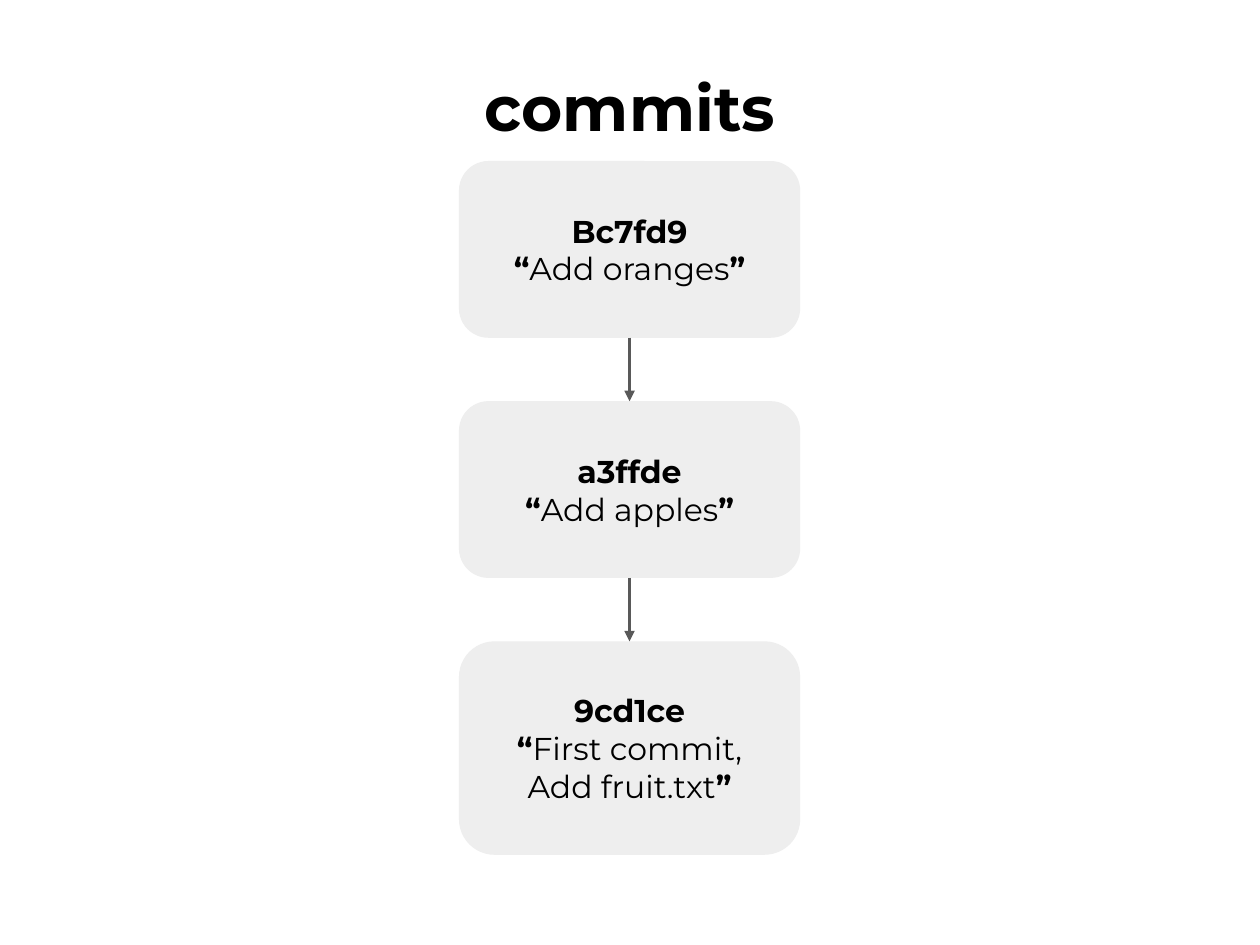
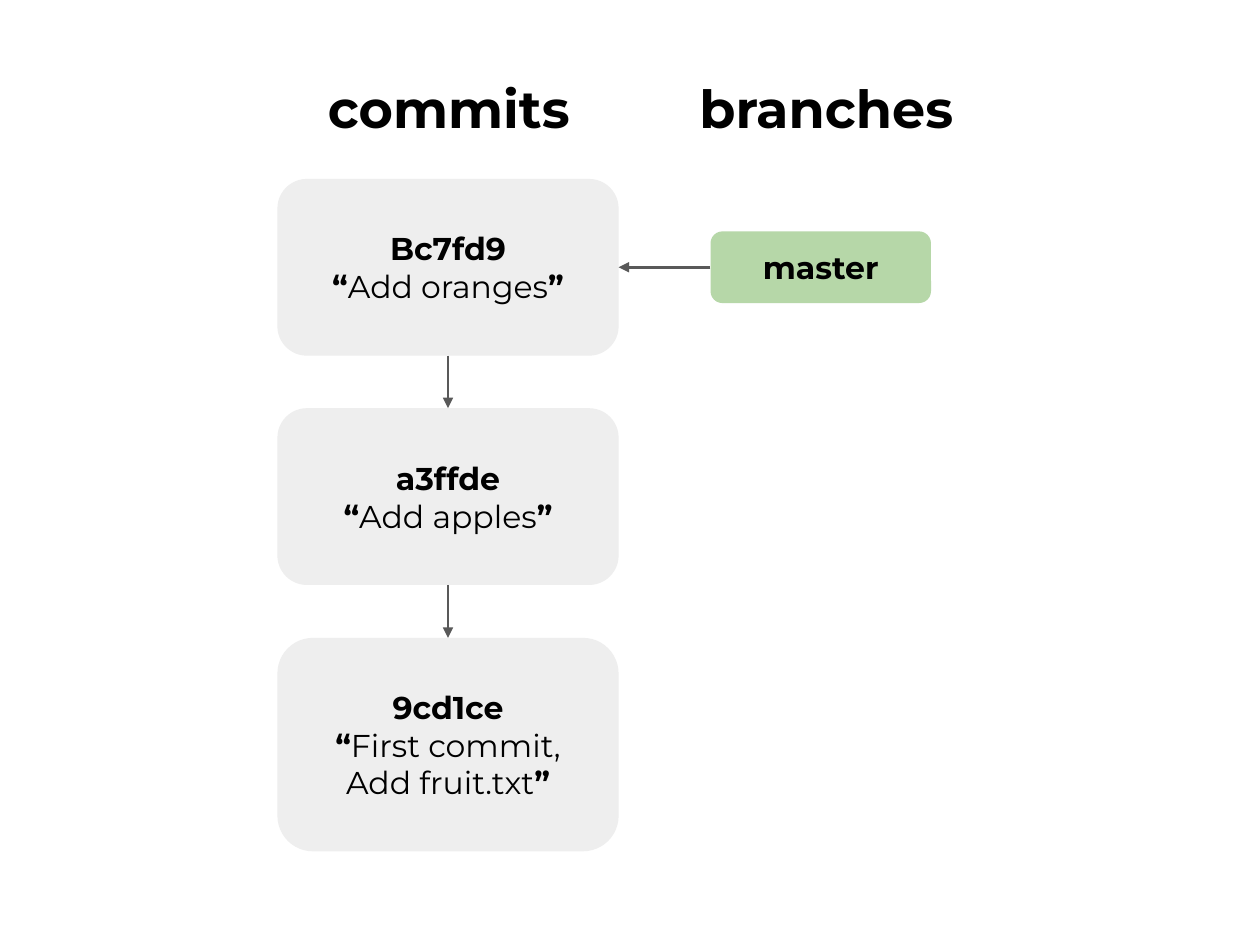
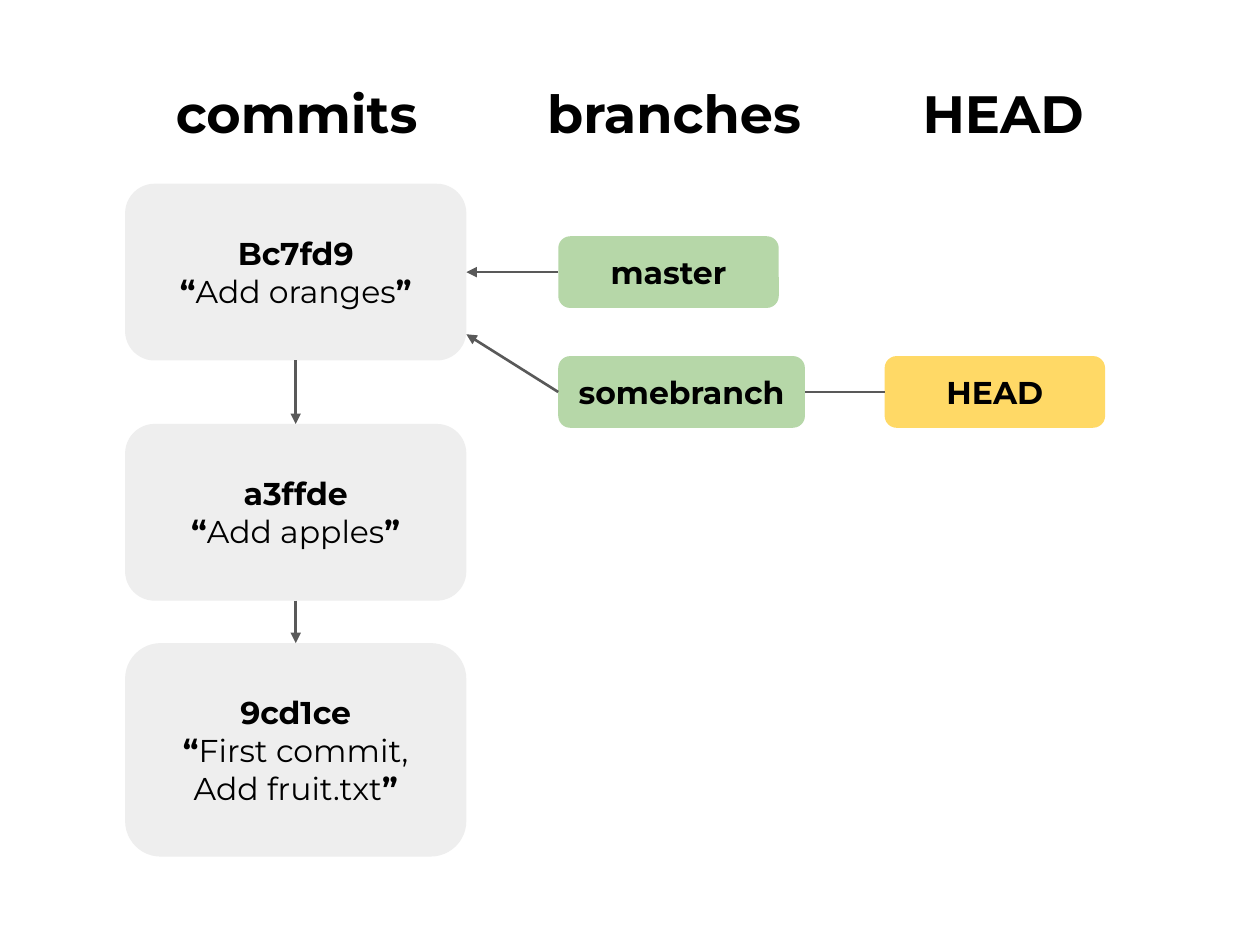
from lxml import etree
from pptx import Presentation
from pptx.dml.color import RGBColor
from pptx.enum.shapes import MSO_CONNECTOR, MSO_SHAPE
from pptx.enum.text import MSO_ANCHOR, PP_ALIGN
from pptx.oxml.ns import qn
from pptx.util import Pt

STRAIGHT, ROUNDED = MSO_CONNECTOR.STRAIGHT, MSO_SHAPE.ROUNDED_RECTANGLE
TOP, MIDDLE, CENTER = MSO_ANCHOR.TOP, MSO_ANCHOR.MIDDLE, PP_ALIGN.CENTER

BLACK = RGBColor(0x00, 0x00, 0x00)
GRAY = RGBColor(0xEE, 0xEE, 0xEE)
DARK_GRAY = RGBColor(0x59, 0x59, 0x59)
GREEN = RGBColor(0xB6, 0xD7, 0xA8)
YELLOW = RGBColor(0xFF, 0xD9, 0x66)
FONT = "Montserrat"
BODY_SIZE = 18

# Connection sites of a rounded rectangle
SITE_TOP, SITE_LEFT, SITE_BOTTOM, SITE_RIGHT = range(4)

# Commit id, message lines, box height
COMMITS = [
    ("Bc7fd9", ["Add oranges"], 101),
    ("a3ffde", ["Add apples"], 101),
    ("9cd1ce", ["First commit,", "Add fruit.txt"], 122),
]
COMMIT_WIDTH = 195
LABEL_WIDTH, LABEL_HEIGHT = 126, 41
BRANCH_GAP = 52.5   # from commits to branches
BRANCH_STEP = 68.5  # from one branch to the next
HEAD_LEFT = 505.5
BRANCH_TARGET_RISE = 15  # second arrow ends this far above the commit's bottom

# Headings: text, left, width. Branches: name, width.
SLIDES = [
    {"headings": [("commits", 24.5, 671)], "heading_top": 31.75, "heading_size": 36,
     "left": 262.25, "tops": [92, 229.25, 366.5], "branches": [], "head": None},
    {"headings": [("commits", 165, 183), ("branches", 358.5, 227.5)],
     "heading_top": 36, "heading_size": 30,
     "left": 158.5, "tops": [102.25, 233.25, 364.5],
     "branches": [("master", LABEL_WIDTH)], "head": None},
    {"headings": [("commits", 78, 183), ("branches", 271.5, 227.5), ("HEAD", 459.5, 227.5)],
     "heading_top": 39, "heading_size": 30,
     "left": 71.5, "tops": [105, 242.25, 367.5],
     "branches": [("master", LABEL_WIDTH), ("somebranch", 141)], "head": "HEAD"},
]


def prepare_text(shape, anchor):
    """Set frame margins and return the centred first paragraph."""
    frame = shape.text_frame
    frame.word_wrap = True
    frame.vertical_anchor = anchor
    frame.margin_left = frame.margin_right = Pt(7.2)
    frame.margin_top = frame.margin_bottom = Pt(7.2)
    paragraph = frame.paragraphs[0]
    paragraph.alignment = CENTER
    return paragraph


def add_run(paragraph, text, size=BODY_SIZE, bold=True):
    run = paragraph.add_run()
    run.text = text
    run.font.name = FONT
    run.font.size = Pt(size)
    run.font.bold = bold
    run.font.color.rgb = BLACK


def add_heading(slide, text, left, top, width, size):
    box = slide.shapes.add_textbox(Pt(left), Pt(top), Pt(width), Pt(60))
    add_run(prepare_text(box, TOP), text, size)


def add_box(slide, left, top, width, height, color):
    """Add a borderless rounded box; return it with its paragraph."""
    box = slide.shapes.add_shape(ROUNDED, Pt(left), Pt(top), Pt(width), Pt(height))
    box.shadow.inherit = False
    box.fill.solid()
    box.fill.fore_color.rgb = color
    box.line.fill.background()
    return box, prepare_text(box, MIDDLE)


def add_label(slide, text, left, top, width, color):
    box, paragraph = add_box(slide, left, top, width, LABEL_HEIGHT, color)
    add_run(paragraph, text)
    return box


def add_commit(slide, left, top, commit_id, message, height):
    box, paragraph = add_box(slide, left, top, COMMIT_WIDTH, height, GRAY)
    add_run(paragraph, commit_id)
    paragraph.add_line_break()
    add_run(paragraph, "“")
    for index, line in enumerate(message):
        if index:
            paragraph.add_line_break()
        add_run(paragraph, line, bold=False)
    add_run(paragraph, "”")
    return box


def add_link(slide, start, start_site, end, end_site, arrow=True):
    """Join two boxes at the given connection sites."""
    link = slide.shapes.add_connector(STRAIGHT, 0, 0, 0, 0)
    link.begin_connect(start, start_site)
    link.end_connect(end, end_site)
    style_link(link, arrow)


def style_link(link, arrow=True):
    link.line.color.rgb = DARK_GRAY
    link.line.width = Pt(1.5)
    if arrow:
        etree.SubElement(link.line._get_or_add_ln(), qn("a:tailEnd"), type="triangle")
    etree.SubElement(link._element.spPr, qn("a:effectLst"))


def add_branches(slide, content, commit):
    left = content["left"] + COMMIT_WIDTH + BRANCH_GAP
    first_top = content["tops"][0] + (COMMITS[0][2] - LABEL_HEIGHT) / 2
    branch = None
    for index, (name, width) in enumerate(content["branches"]):
        top = first_top + index * BRANCH_STEP
        branch = add_label(slide, name, left, top, width, GREEN)
        if index == 0:
            add_link(slide, branch, SITE_LEFT, commit, SITE_RIGHT)
        else:
            link = slide.shapes.add_connector(
                STRAIGHT, branch.left, branch.top + branch.height // 2,
                commit.left + commit.width,
                commit.top + commit.height - Pt(BRANCH_TARGET_RISE))
            style_link(link)
    if content["head"]:
        head = add_label(slide, content["head"], HEAD_LEFT, top, LABEL_WIDTH, YELLOW)
        add_link(slide, head, SITE_LEFT, branch, SITE_RIGHT, arrow=False)


def add_history(presentation, content):
    slide = presentation.slides.add_slide(presentation.slide_layouts[6])
    for text, left, width in content["headings"]:
        add_heading(slide, text, left, content["heading_top"], width, content["heading_size"])
    commits = [add_commit(slide, content["left"], top, *commit)
               for top, commit in zip(content["tops"], COMMITS)]
    for newer, older in zip(commits, commits[1:]):
        add_link(slide, newer, SITE_BOTTOM, older, SITE_TOP)
    add_branches(slide, content, commits[0])


def main():
    presentation = Presentation()
    presentation.slide_width, presentation.slide_height = Pt(720), Pt(540)
    for content in SLIDES:
        add_history(presentation, content)
    presentation.save("out.pptx")


if __name__ == "__main__":
    main()
